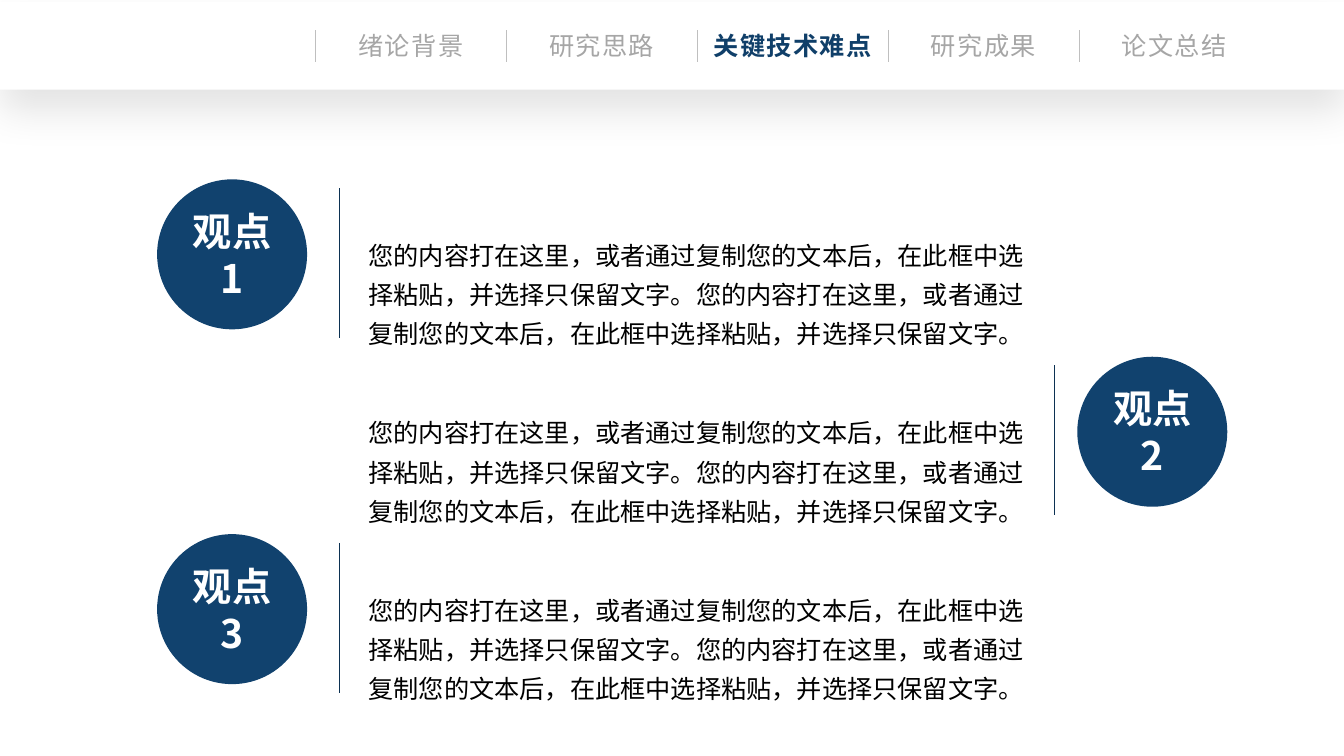
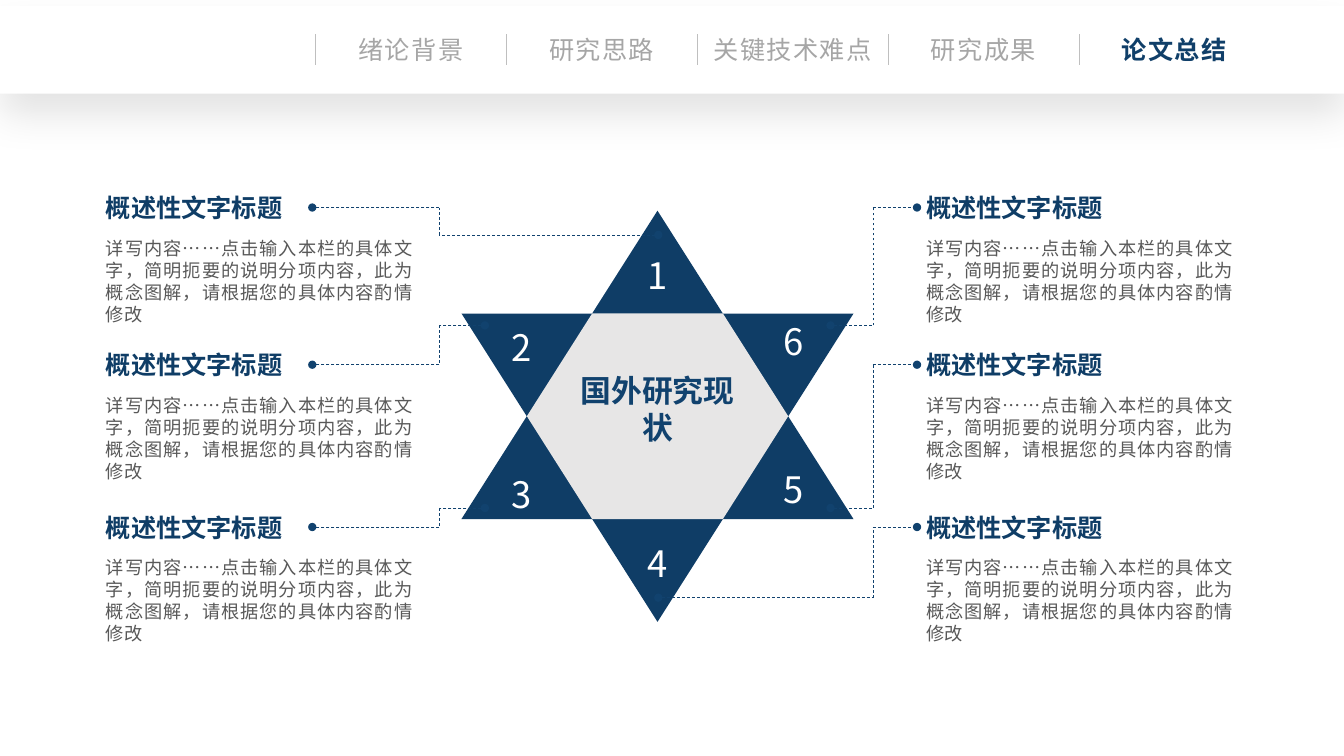
from lxml import etree
from pptx import Presentation
from pptx.dml.color import RGBColor
from pptx.enum.dml import MSO_LINE
from pptx.enum.shapes import MSO_CONNECTOR, MSO_SHAPE
from pptx.enum.text import MSO_ANCHOR, MSO_AUTO_SIZE, PP_ALIGN
from pptx.oxml.ns import qn
from pptx.util import Cm, Pt

STRAIGHT = MSO_CONNECTOR.STRAIGHT
DASH = MSO_LINE.DASH
OVAL, RECT = MSO_SHAPE.OVAL, MSO_SHAPE.RECTANGLE
TRIANGLE = MSO_SHAPE.ISOSCELES_TRIANGLE
MIDDLE, TOP = MSO_ANCHOR.MIDDLE, MSO_ANCHOR.TOP
FIT = MSO_AUTO_SIZE.SHAPE_TO_FIT_TEXT
LEFT, CENTER, JUSTIFY = PP_ALIGN.LEFT, PP_ALIGN.CENTER, PP_ALIGN.JUSTIFY

FONT = "Noto Sans CJK SC"
WHITE = RGBColor(0xFF, 0xFF, 0xFF)
BLACK = RGBColor(0x00, 0x00, 0x00)
BLUE = RGBColor(0x11, 0x42, 0x6E)
STAR_BLUE = RGBColor(0x0F, 0x3D, 0x66)
NAV_BLUE = RGBColor(0x10, 0x3F, 0x69)
RULE_BLUE = RGBColor(0x0C, 0x31, 0x52)
NAV_GRAY = RGBColor(0xA6, 0xA6, 0xA6)
DIVIDER_GRAY = RGBColor(0xBF, 0xBF, 0xBF)
BODY_GRAY = RGBColor(0x59, 0x59, 0x59)
HEXAGON_GRAY = RGBColor(0xE7, 0xE6, 0xE6)

SLIDE_W, SLIDE_H = 33.87, 19.05
NAV = ["绪论背景", "研究思路", "关键技术难点", "研究成果", "论文总结"]
NAV_X, NAV_STEP = 7.95, 4.81

SENTENCE = "您的内容打在这里，或者通过复制您的文本后，在此框中选择粘贴，并选择只保留文字。"
VIEWS = [
    ("观点1", 3.96, 8.56),
    ("观点2", 27.15, 26.57),
    ("观点3", 3.96, 8.56),
]
VIEW_Y, VIEW_STEP, VIEW_SIZE = 4.52, 4.47, 3.78

STAR_X, STAR_Y, STAR_W, STAR_H = 11.63, 5.31, 9.88, 7.77
STAR_LABEL = "国外研究现状"
DIGITS = [
    ("1", 15.95, 6.38),
    ("2", 12.52, 8.2),
    ("3", 12.52, 11.89),
    ("4", 15.95, 13.64),
    ("5", 19.38, 11.76),
    ("6", 19.38, 8.05),
]
CALLOUT_TITLE = "概述性文字标题"
CALLOUT_BODY = "详写内容……点击输入本栏的具体文字，简明扼要的说明分项内容，此为概念图解，请根据您的具体内容酌情修改"
CALLOUT_YS = [4.85, 8.81, 12.9]
CALLOUT_SIDES = [
    {"text_x": 2.67, "tip_x": 7.87, "elbow_x": 11.07,
     "starts": [(16.59, 5.92), (12.22, 8.2), (12.22, 12.8)]},
    {"text_x": 23.34, "tip_x": 23.11, "elbow_x": 22,
     "starts": [(20.93, 8.2), (20.93, 12.8), (16.59, 15.06)]},
]


def write(tf, text, size, color, bold=False, align=LEFT, spacing=None, tracking=None):
    p = tf.paragraphs[0]
    p.alignment = align
    if spacing:
        p.line_spacing = spacing
    r = p.add_run()
    r.text = text
    r.font.size = Pt(size)
    r.font.bold = bold
    r.font.color.rgb = color
    r.font.name = FONT
    rpr = r.font._element
    etree.SubElement(rpr, qn("a:ea"), typeface=FONT)
    if tracking:
        rpr.set("spc", str(tracking * 100))


def add_text(s, x, y, w, h, text, size, color, inset=True, wrap=True, **style):
    tf = s.shapes.add_textbox(Cm(x), Cm(y), Cm(w), Cm(h)).text_frame
    tf.word_wrap = wrap
    tf.auto_size = FIT
    tf.vertical_anchor = TOP
    if not inset:
        tf.margin_left = tf.margin_right = tf.margin_top = tf.margin_bottom = 0
    write(tf, text, size, color, **style)


def paint(sp, color):
    sp.shadow.inherit = False
    sp.fill.solid()
    sp.fill.fore_color.rgb = color
    sp.line.fill.background()


def add_shape(s, kind, x, y, w, h, color):
    sp = s.shapes.add_shape(kind, Cm(x), Cm(y), Cm(w), Cm(h))
    paint(sp, color)
    return sp


def add_line(s, start, end, color, width, dash=None, dot=None):
    x1, y1, x2, y2 = (Cm(v) for v in start + end)
    line = s.shapes.add_connector(STRAIGHT, x1, y1, x2, y2)
    line.line.color.rgb = color
    line.line.width = Pt(width)
    if dash:
        line.line.dash_style = dash
    if dot:
        etree.SubElement(line.line._get_or_add_ln(), qn(f"a:{dot}"), type="oval")
    etree.SubElement(line._element.spPr, qn("a:effectLst"))


def add_band_shadow(sp):
    effects = sp._element.spPr.find(qn("a:effectLst"))
    shadow = etree.SubElement(
        effects, qn("a:outerShdw"), blurRad=str(Pt(28)), dist=str(Pt(15)),
        dir="5400000", algn="t", rotWithShape="0")
    color = etree.SubElement(shadow, qn("a:srgbClr"), val=str(BLACK))
    etree.SubElement(color, qn("a:alpha"), val="11000")


def add_nav(s, y, current):
    add_band_shadow(add_shape(s, RECT, 0, y, SLIDE_W, 2.21, WHITE))
    for i, label in enumerate(NAV):
        x = NAV_X + i * NAV_STEP
        w = 0.55 + 0.67 * len(label)
        active = i == current
        add_line(s, (x, y + 0.71), (x, y + 1.5), DIVIDER_GRAY, 0.5)
        add_text(s, x + (NAV_STEP - w) / 2, y + 0.58, w, 1.02, label, 18,
                 NAV_BLUE if active else NAV_GRAY, wrap=False, bold=active,
                 align=CENTER, tracking=1)


def add_views(s):
    for i, (label, circle_x, rule_x) in enumerate(VIEWS):
        y = VIEW_Y + i * VIEW_STEP
        tf = add_shape(s, OVAL, circle_x, y, VIEW_SIZE, VIEW_SIZE, BLUE).text_frame
        tf.word_wrap = True
        tf.vertical_anchor = MIDDLE
        write(tf, label, 28, WHITE, bold=True, align=CENTER)
        add_text(s, 9.04, y + 1.18, 17.5, 3.25, SENTENCE * 2, 18, BLACK, spacing=1.3)
        add_line(s, (rule_x, y + 0.22), (rule_x, y + 0.22 + VIEW_SIZE), RULE_BLUE, 0.75)


def add_star(s):
    dx, dy = STAR_W / 6, STAR_H / 3
    add_shape(s, TRIANGLE, STAR_X, STAR_Y + dy, STAR_W, STAR_H, STAR_BLUE).rotation = 180
    add_shape(s, TRIANGLE, STAR_X, STAR_Y, STAR_W, STAR_H, STAR_BLUE)
    corners = [(Cm(STAR_X + i * dx), Cm(STAR_Y + j * dy))
               for i, j in [(4, 1), (5, 2), (4, 3), (2, 3), (1, 2), (2, 1)]]
    outline = s.shapes.build_freeform(*corners[0])
    outline.add_line_segments(corners[1:], close=True)
    paint(outline.convert_to_shape(), HEXAGON_GRAY)
    for digit, x, y in DIGITS:
        add_text(s, x, y, 1.24, 1.12, digit, 26, WHITE, inset=False, align=CENTER)
    add_text(s, 14.62, 9.37, 3.9, 1.88, STAR_LABEL, 22, BLUE, inset=False,
             bold=True, align=CENTER)


def add_callouts(s):
    for side in CALLOUT_SIDES:
        x, elbow_x = side["text_x"], side["elbow_x"]
        for y, start in zip(CALLOUT_YS, side["starts"]):
            add_text(s, x, y, 7.87, 0.76, CALLOUT_TITLE, 18, STAR_BLUE,
                     inset=False, bold=True)
            add_text(s, x, y + 1.13, 7.72, 1.68, CALLOUT_BODY, 13, BODY_GRAY,
                     inset=False, align=JUSTIFY)
            elbow, turn = (elbow_x, start[1]), (elbow_x, y + 0.38)
            tip = (side["tip_x"], y + 0.38)
            for a, b, dot in [(start, elbow, "headEnd"), (elbow, turn, None),
                              (turn, tip, "tailEnd")]:
                add_line(s, a, b, BLUE, 0.5, DASH, dot)


def main():
    prs = Presentation()
    prs.slide_width, prs.slide_height = Cm(SLIDE_W), Cm(SLIDE_H)
    blank = prs.slide_layouts[6]

    s = prs.slides.add_slide(blank)
    add_views(s)
    add_nav(s, 0.05, 2)

    s = prs.slides.add_slide(blank)
    add_star(s)
    add_callouts(s)
    add_nav(s, 0.15, 4)

    prs.save("out.pptx")


if __name__ == "__main__":
    main()
